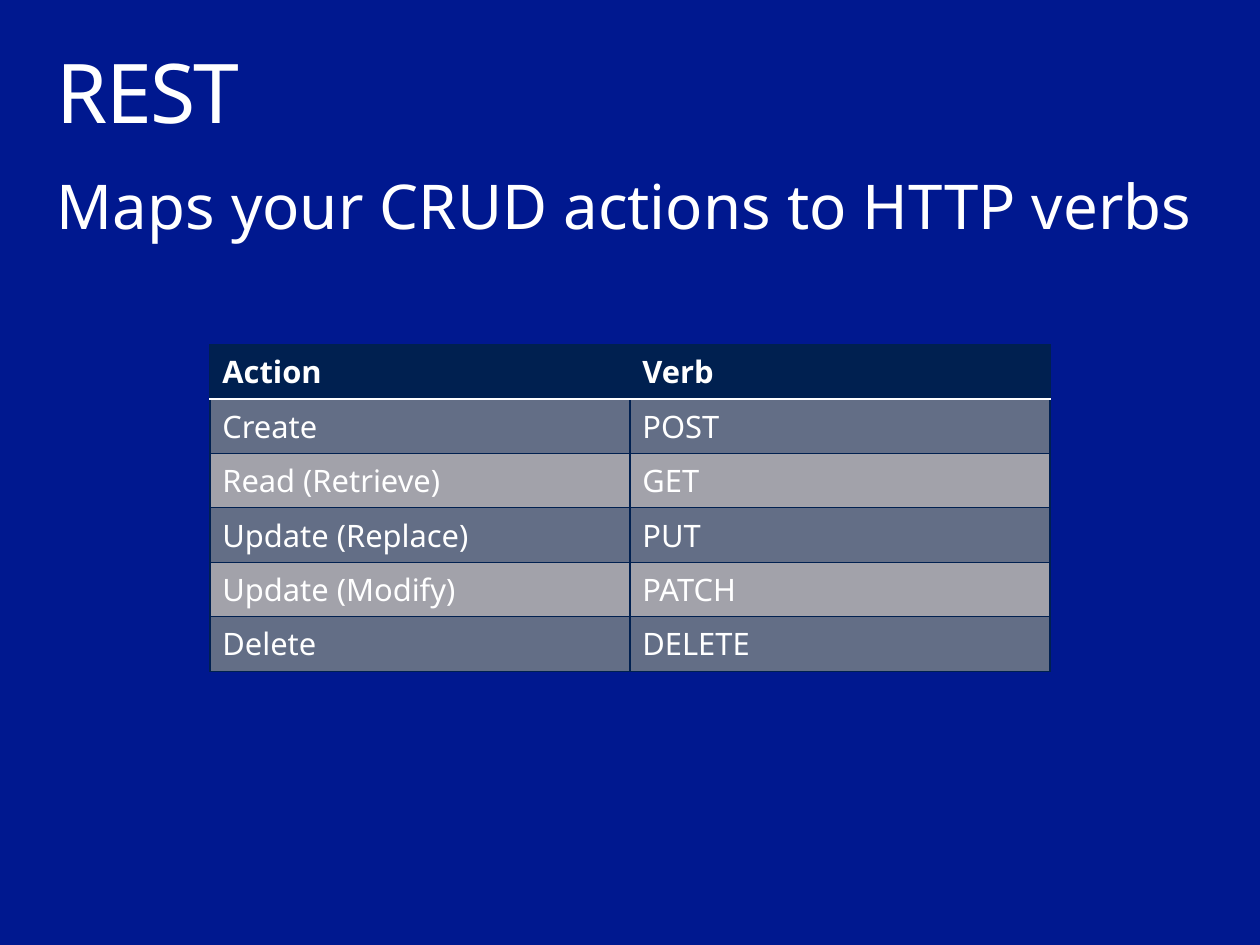
from pptx import Presentation
from pptx import util as u
from pptx.dml.color import RGBColor
from pptx.enum import text
from pptx.oxml import parse_xml
from pptx.oxml.ns import nsdecls

COLORS = {"bg": "00188F", "text": "FFFFFF", "navy": "002050",
          "slate": "636E86", "gray": "A2A2AA"}
FONT = "Noto Sans"


def add_run(p, words, size, bold=False):
    r = p.add_run()
    r.text = words
    r.font.name = FONT
    r.font.size = u.Pt(size)
    r.font.bold = bold
    r.font.color.rgb = RGBColor.from_string(COLORS["text"])
    return r


def set_border(cell, side, color, width):
    line = parse_xml(
        f'<a:ln{side} {nsdecls("a")} w="{u.Pt(width)}"><a:solidFill>'
        f'<a:srgbClr val="{color}"/></a:solidFill></a:ln{side}>')
    cell._tc.get_or_add_tcPr().append(line)


prs = Presentation()
prs.slide_width = u.Inches(10.2)
prs.slide_height = u.Inches(7.65)
s = prs.slides.add_slide(prs.slide_layouts[1])
s.background.fill.solid()
s.background.fill.fore_color.rgb = RGBColor.from_string(COLORS["bg"])

title, body = s.shapes.title, s.placeholders[1]
headings = [(title, "REST", 48, 0.32, 1),
            (body, "Maps your CRUD actions to HTTP verbs", 36, 1.33, 1.41)]
for sp, words, size, top, height in headings:
    sp.left, sp.top = u.Inches(0.3), u.Inches(top)
    sp.width, sp.height = u.Inches(9.6), u.Inches(height)
    tf = sp.text_frame
    tf.word_wrap = True
    tf.auto_size = text.MSO_AUTO_SIZE.NONE
    tf.vertical_anchor = text.MSO_ANCHOR.TOP
    tf.margin_left = tf.margin_right = u.Inches(0.16)
    tf.margin_top = tf.margin_bottom = u.Inches(0.1)
    p = tf.paragraphs[0]
    p.alignment = text.PP_ALIGN.LEFT
    p.line_spacing = 0.9
    add_run(p, words, size)

title.text_frame.paragraphs[0].runs[0].font._element.set("spc", "-100")
pPr = body.text_frame.paragraphs[0]._p.get_or_add_pPr()
pPr.set("marL", "0")
pPr.set("indent", "0")
pPr.append(parse_xml(f'<a:buNone {nsdecls("a")}/>'))

verbs = [("Action", "Verb"), ("Create", "POST"), ("Read (Retrieve)", "GET"),
         ("Update (Replace)", "PUT"), ("Update (Modify)", "PATCH"),
         ("Delete", "DELETE")]
table = s.shapes.add_table(len(verbs), 2, u.Inches(1.7), u.Inches(2.79),
                           u.Inches(6.8), u.Inches(2.48)).table
for col in table.columns:
    col.width = u.Inches(3.4)
for i, row in enumerate(verbs):
    table.rows[i].height = u.Inches(0.41)
    fill = "navy" if i == 0 else "slate" if i % 2 else "gray"
    for j, words in enumerate(row):
        cell = table.cell(i, j)
        cell.margin_left = cell.margin_right = u.Inches(0.1)
        cell.margin_top = cell.margin_bottom = u.Inches(0.05)
        for side in "LRTB":
            if (i, side) in ((0, "B"), (1, "T")):
                set_border(cell, side, COLORS["text"], 0.85)
            else:
                set_border(cell, side, COLORS["navy"], 0.75)
        cell.fill.solid()
        cell.fill.fore_color.rgb = RGBColor.from_string(COLORS[fill])
        add_run(cell.text_frame.paragraphs[0], words, 18, bold=i == 0)

prs.save("out.pptx")
